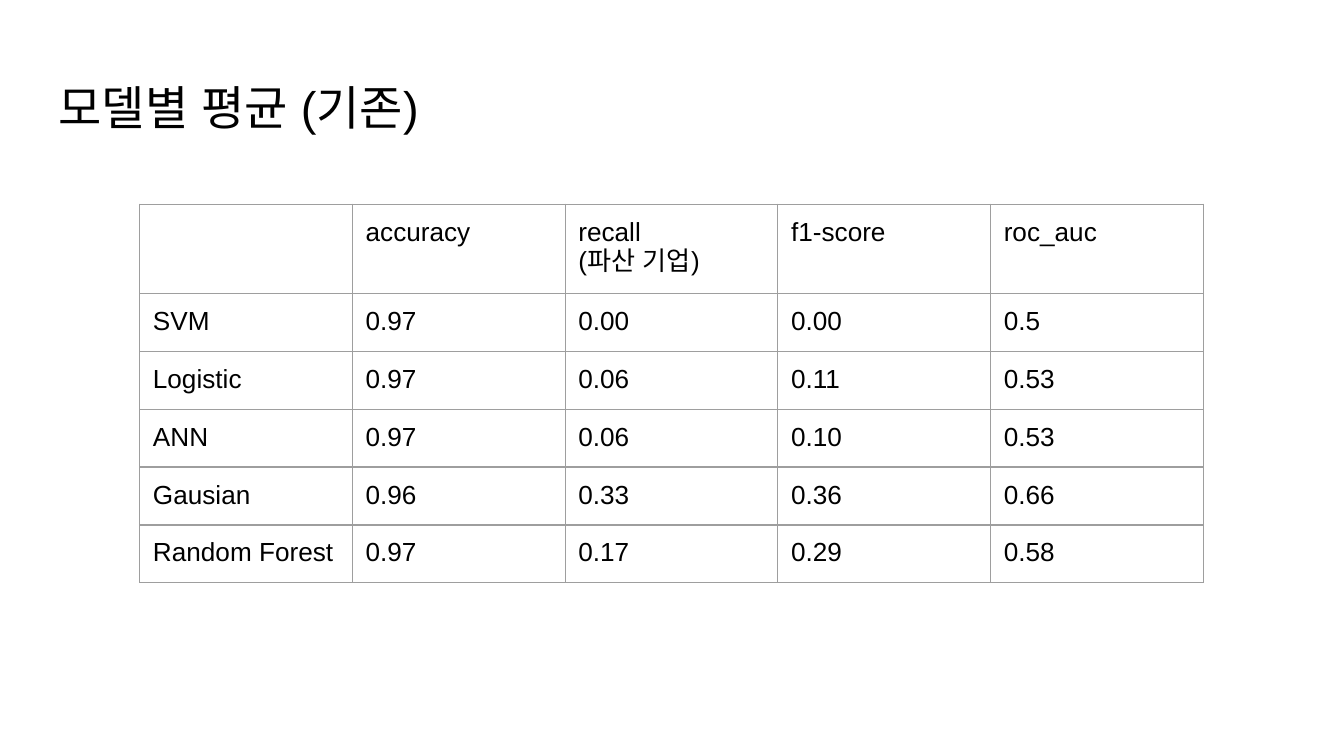
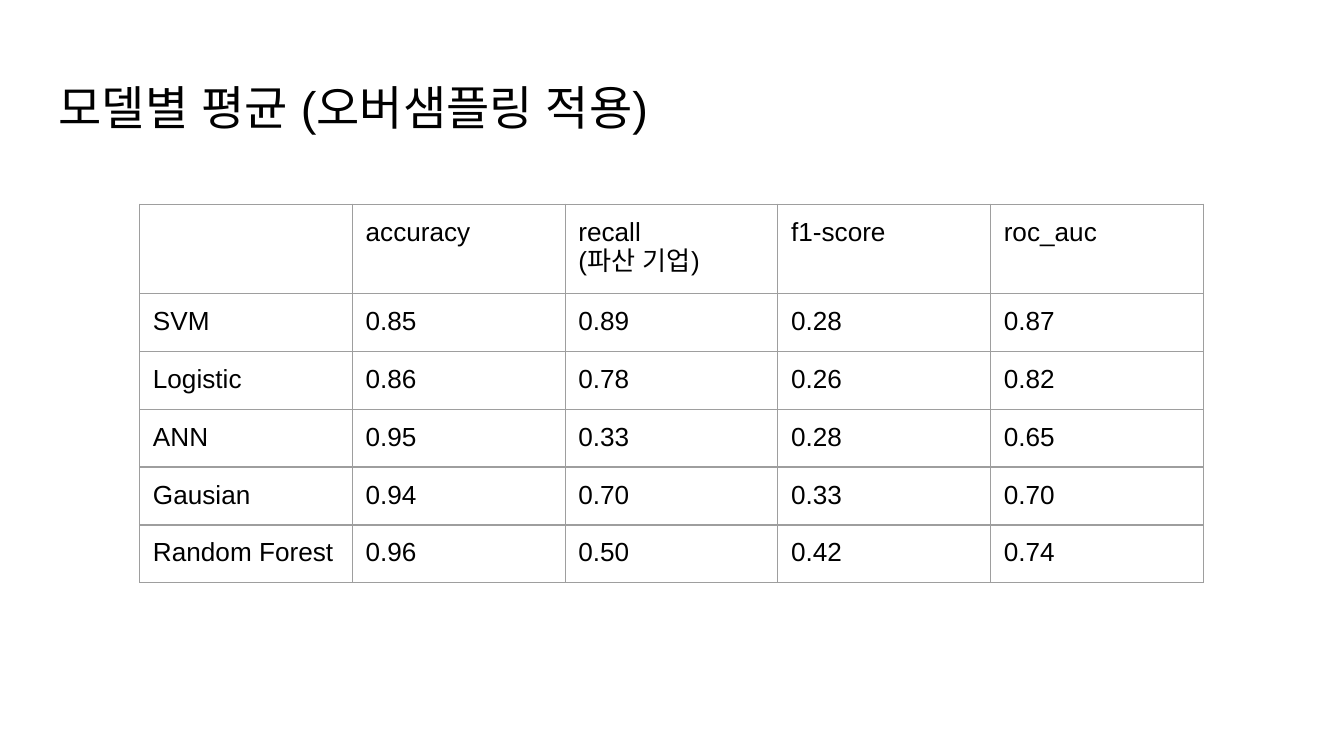
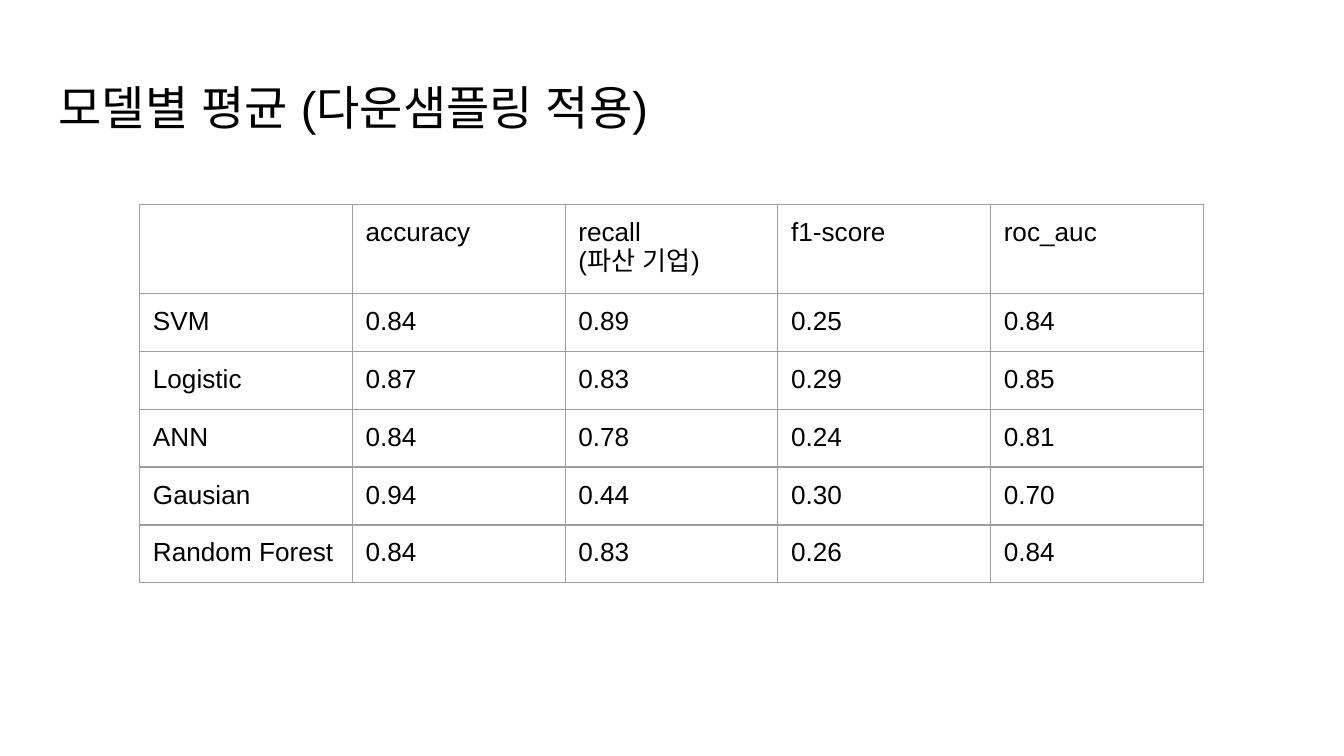
from lxml.etree import SubElement
from pptx import Presentation
from pptx.dml.color import RGBColor
from pptx.enum.text import MSO_ANCHOR
from pptx.oxml.ns import qn
from pptx.util import Cm, Pt

# Shared look
FONT = "Arial"
TEXT_COLOR = "000000"
BORDER_COLOR = "9E9E9E"
BACKGROUND = "FFFFFF"
INSET = Cm(0.25)
TITLE_BOX = (Cm(0.86), Cm(1.24), Cm(23.67), Cm(1.6))
SCORES_BOX = (Cm(2.64), Cm(3.86), Cm(20.1), Cm(6.4))

METRICS = ["", "accuracy", "recall\n(파산 기업)", "f1-score", "roc_auc"]
MODELS = ["SVM", "Logistic", "ANN", "Gausian", "Random Forest"]

# Slide title and, for each model, its score on every metric
RESULTS = [
    ("모델별 평균 (기존)", [
        "0.97 0.00 0.00 0.5",
        "0.97 0.06 0.11 0.53",
        "0.97 0.06 0.10 0.53",
        "0.96 0.33 0.36 0.66",
        "0.97 0.17 0.29 0.58",
    ]),
    ("모델별 평균 (오버샘플링 적용)", [
        "0.85 0.89 0.28 0.87",
        "0.86 0.78 0.26 0.82",
        "0.95 0.33 0.28 0.65",
        "0.94 0.70 0.33 0.70",
        "0.96 0.50 0.42 0.74",
    ]),
    ("모델별 평균 (다운샘플링 적용)", [
        "0.84 0.89 0.25 0.84",
        "0.87 0.83 0.29 0.85",
        "0.84 0.78 0.24 0.81",
        "0.94 0.44 0.30 0.70",
        "0.84 0.83 0.26 0.84",
    ]),
]


def color(hex_code):
    return RGBColor.from_string(hex_code)


def set_insets(holder):
    holder.margin_left = holder.margin_right = INSET
    holder.margin_top = holder.margin_bottom = INSET


def write(frame, text, size):
    """Write each line of text as a paragraph of its own."""
    for index, line in enumerate(text.split("\n")):
        paragraph = frame.add_paragraph() if index else frame.paragraphs[0]
        run = paragraph.add_run()
        run.text = line
        run.font.size = Pt(size)
        run.font.color.rgb = color(TEXT_COLOR)
        run.font.name = FONT
        # Hangul takes the same font
        for script in ("a:ea", "a:cs"):
            SubElement(run.font._element, qn(script), typeface=FONT)


def add_title(slide, box, text):
    title = slide.shapes.add_textbox(*box).text_frame
    title.word_wrap = True
    title.vertical_anchor = MSO_ANCHOR.TOP
    set_insets(title)
    write(title, text, 25.2)


def add_borders(cell):
    properties = cell._tc.get_or_add_tcPr()
    for index, side in enumerate(("a:lnL", "a:lnR", "a:lnT", "a:lnB")):
        border = properties.makeelement(qn(side), w=str(Pt(0.75)))
        fill = SubElement(border, qn("a:solidFill"))
        SubElement(fill, qn("a:srgbClr"), val=BORDER_COLOR)
        properties.insert(index, border)


def add_scores(slide, box, rows):
    left, top, width, height = box
    scores = slide.shapes.add_table(
        len(rows), len(rows[0]), left, top, width, height).table
    scores.first_row = scores.horz_banding = False
    for row_index, row in enumerate(rows):
        for column_index, text in enumerate(row):
            cell = scores.cell(row_index, column_index)
            cell.fill.background()
            set_insets(cell)
            add_borders(cell)
            if text:
                write(cell.text_frame, text, 14)


def add_result_slide(deck, title, score_lines):
    slide = deck.slides.add_slide(deck.slide_layouts[6])
    slide.background.fill.solid()
    slide.background.fill.fore_color.rgb = color(BACKGROUND)
    add_title(slide, TITLE_BOX, title)
    model_rows = [[model, *line.split()]
                  for model, line in zip(MODELS, score_lines)]
    add_scores(slide, SCORES_BOX, [METRICS, *model_rows])


def main():
    deck = Presentation()
    deck.slide_width, deck.slide_height = Cm(25.4), Cm(14.29)
    for title, score_lines in RESULTS:
        add_result_slide(deck, title, score_lines)
    deck.save("out.pptx")


if __name__ == "__main__":
    main()
